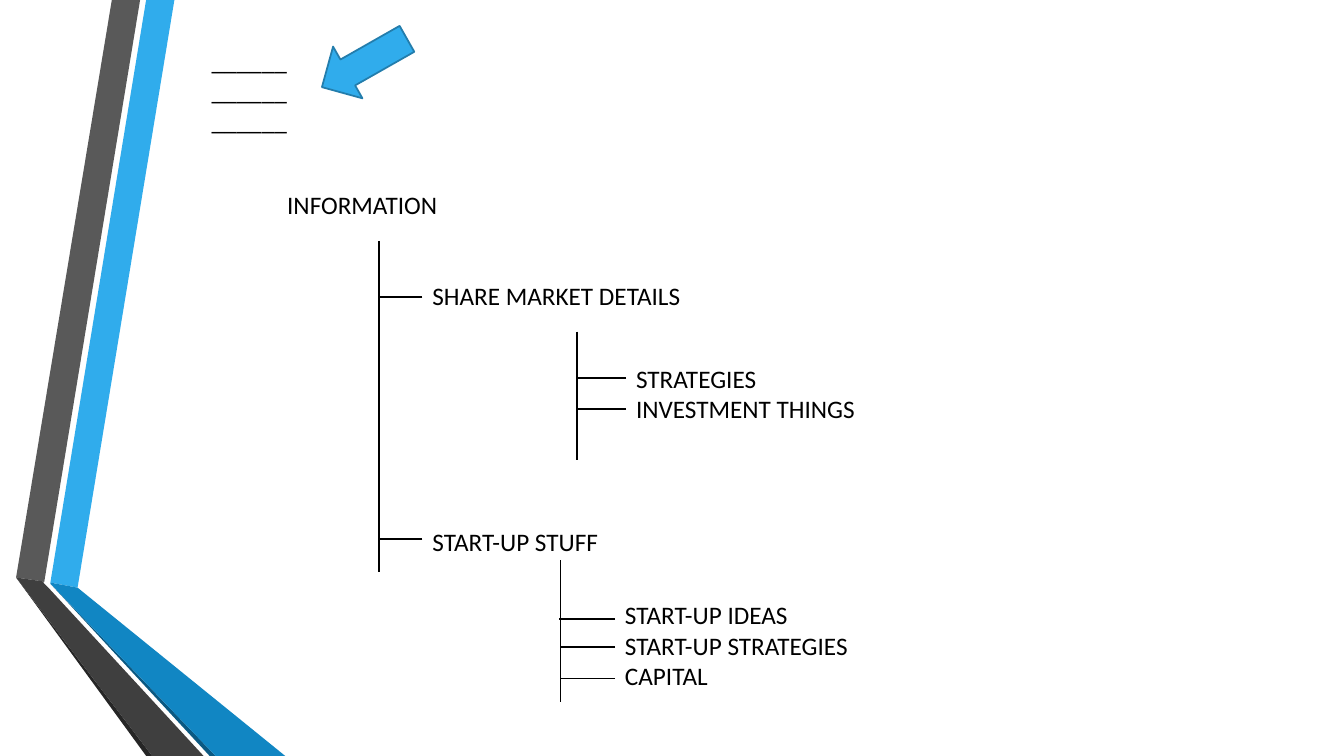
from pptx import Presentation
from pptx.dml.color import RGBColor
from pptx.enum.shapes import MSO_CONNECTOR as Connector, MSO_SHAPE as Shape
from pptx.enum.text import MSO_AUTO_SIZE as AutoSize
from pptx.oxml.ns import qn
from pptx.util import Emu, Pt
from lxml.etree import SubElement

PX = 9144
COLOURS = {
    "text": "000000", "sky": "30ACEC", "outline": "237DAC",
    "blue": "1186C3", "navy": "0B5982",
    "grey": "595959", "charcoal": "3F3F3F", "black": "262626",
}
FONT = {"name": "Calibri", "size": Pt(18)}
INSETS = {"margin_left": 10, "margin_top": 5, "margin_right": 10, "margin_bottom": 5}
LINE_WIDTH = Pt(1.25)

BANDS = [
    ("sky", [(50, 578), (77, 583), (173, 0), (145, 0)]),
    ("grey", [(139, 0), (111, 0), (16, 573), (44, 577)]),
    ("black", [(16, 573), (145, 750), (151, 750)]),
    ("navy", [(50, 579), (208, 750), (214, 750)]),
    ("blue", [(50, 578), (50, 579), (214, 750), (283, 750), (77, 583)]),
    ("charcoal", [(202, 750), (48, 583), (43, 578), (44, 577), (16, 573), (151, 750)]),
]
LABELS = [
    ((200, 40, 105, 101), ["______"] * 3, 0),
    ((275, 183, 432, 40), ["INFORMATION"], 0),
    ((419, 273, 383, 283), ["SHARE MARKET DETAILS", "START-UP STUFF"], 154),
    ((621, 355, 289, 101), ["STRATEGIES", "INVESTMENT THINGS"], 0),
    ((610, 590, 300, 131), ["START-UP IDEAS", "START-UP STRATEGIES", "CAPITAL"], 0),
]
TREES = [
    (376, 239, 567, 419, [(295, 376), (535, 376)]),
    (572, 329, 456, 621, [(375, 571), (406, 572)]),
    (556, 556, 696, 610, [(614, 554), (642, 556), (673, 556)]),
]


class Page:
    """Draws styled elements on one slide, with lengths in px."""

    def __init__(self, deck):
        self.shapes = deck.slides.add_slide(deck.slide_layouts[6]).shapes

    def colour(self, name):
        return RGBColor.from_string(COLOURS[name])

    def paint(self, shape, fill):
        shape.shadow.inherit = False
        shape.fill.solid()
        shape.fill.fore_color.rgb = self.colour(fill)

    def band(self, fill, points):
        builder = self.shapes.build_freeform(*points[0], scale=PX)
        builder.add_line_segments(points[1:], close=True)
        shape = builder.convert_to_shape()
        self.paint(shape, fill)
        shape.line.fill.background()

    def arrow(self, area, rotation):
        shape = self.shapes.add_shape(Shape.LEFT_ARROW, *(Emu(n * PX) for n in area))
        self.paint(shape, "sky")
        shape.rotation = rotation
        shape.line.color.rgb = self.colour("outline")
        shape.line.width = LINE_WIDTH

    def label(self, area, lines, gap):
        box = self.shapes.add_textbox(*(Emu(n * PX) for n in area))
        frame = box.text_frame
        frame.word_wrap = True
        frame.auto_size = AutoSize.SHAPE_TO_FIT_TEXT
        for name, inset in INSETS.items():
            setattr(frame, name, Emu(inset * PX))
        for index, line in enumerate(lines):
            para = frame.add_paragraph() if index else frame.paragraphs[0]
            if index and gap:
                para.space_before = Pt(gap)
            span = para.add_run()
            span.text = line
            for name, value in FONT.items():
                setattr(span.font, name, value)
            span.font.color.rgb = self.colour("text")

    def line(self, *ends):
        line = self.shapes.add_connector(Connector.STRAIGHT, *(Emu(n * PX) for n in ends))
        line.line.color.rgb = self.colour("text")
        line.line.width = LINE_WIDTH
        SubElement(line._element.spPr, qn("a:effectLst"))

    def tree(self, trunk, top, bottom, tip, branches):
        self.line(trunk, top, trunk, bottom)
        for level, root in branches:
            self.line(tip, level, root, level)


def main():
    deck = Presentation()
    deck.slide_width, deck.slide_height = Emu(1333 * PX), Emu(750 * PX)
    page = Page(deck)
    for band in BANDS:
        page.band(*band)
    page.arrow((313, 33, 97, 59), 330.4)
    for label in LABELS:
        page.label(*label)
    for tree in TREES:
        page.tree(*tree)
    deck.save("out.pptx")


if __name__ == "__main__":
    main()
